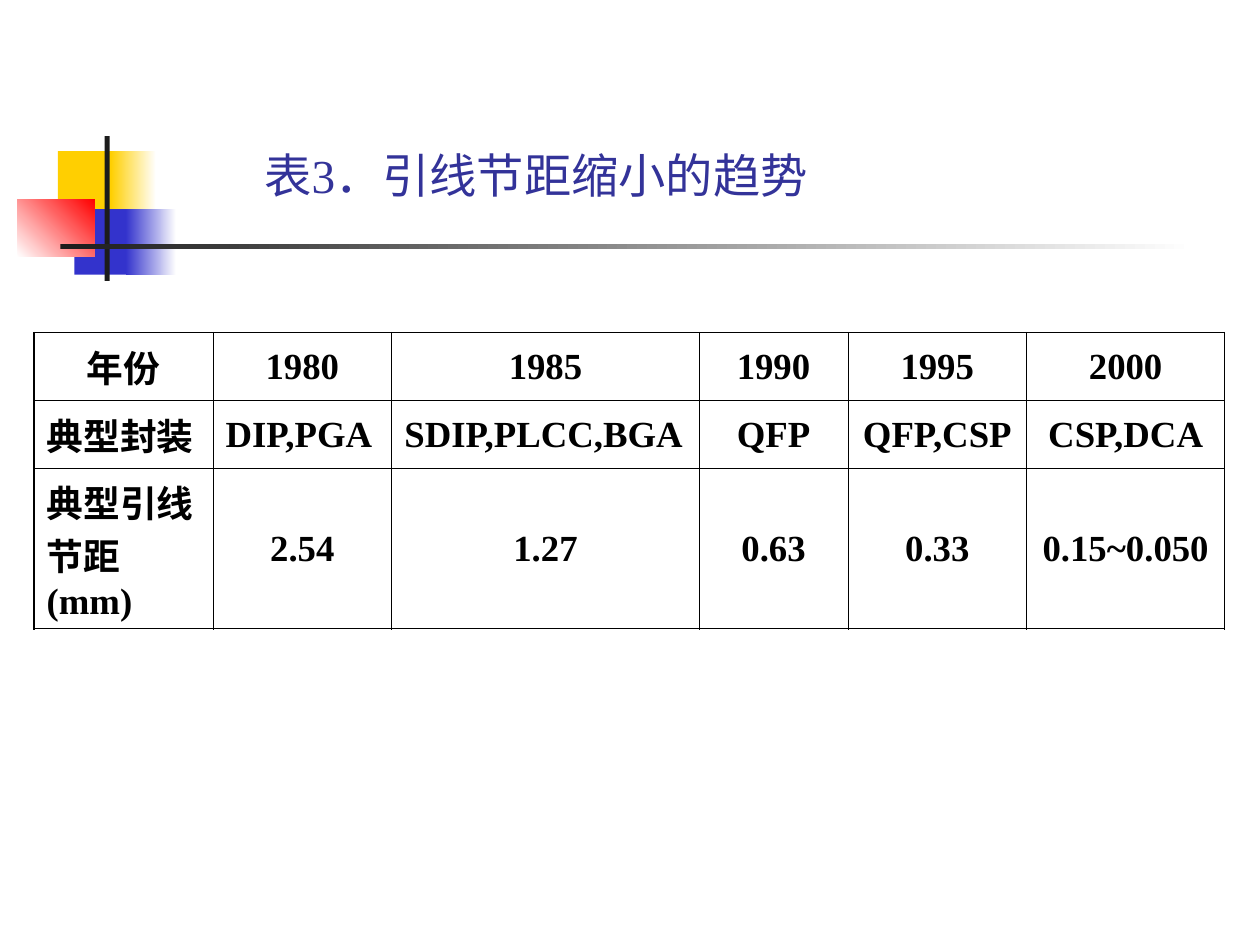
from lxml import etree
from pptx import Presentation
from pptx import util as u
from pptx.dml.color import RGBColor
from pptx.enum import shapes, text
from pptx.oxml import ns

COLORS = {
    "yellow": "FFCF01",
    "blue": "3333CC",
    "red": "FF0000",
    "dark": "1C1C1C",
    "white": "FFFFFF",
    "title": "333399",
    "black": "000000",
}
FONT = "Times New Roman"
OUTER_WIDTH = 1.08
INNER_WIDTH = 0.45

DECORATIONS = [
    ((0.46, 1.2, 0.48, 0.52), ("yellow",), 0),
    ((0.88, 1.2, 0.36, 0.52), ("yellow", "white"), 0),
    ((0.59, 1.66, 0.46, 0.52), ("blue",), 0),
    ((1, 1.66, 0.4, 0.52), ("blue", "white"), 0),
    ((0.14, 1.58, 0.61, 0.46), ("white", "red"), 45),
    ((0.83, 1.08, 0.04, 1.15), ("dark",), 0),
    ((0.48, 1.94, 9, 0.04), ("dark", "white"), 0),
]
COLUMN_WIDTHS = [1.42, 1.42, 2.44, 1.18, 1.42, 1.57]
ROW_HEIGHTS = [0.54, 0.54, 1.27]
ROWS = [
    ["年份", "1980", "1985", "1990", "1995", "2000"],
    ["典型封装", "DIP,PGA", "SDIP,PLCC,BGA", "QFP", "QFP,CSP", "CSP,DCA"],
    ["典型引线节距(mm)", "2.54", "1.27", "0.63", "0.33", "0.15~0.050"],
]
LEFT_ALIGNED = {(1, 0), (1, 1), (1, 2), (2, 0)}


def rgb(name):
    return RGBColor.from_string(COLORS[name])


def inches(values):
    return [u.Inches(value) for value in values]


def format_text(paragraph, size, color, bold=False):
    for run in paragraph.runs:
        run.font.name = FONT
        run.font.size = u.Pt(size)
        run.font.bold = bold
        run.font.color.rgb = rgb(color)


def add_decoration(slide, box, colors, angle):
    shape = slide.shapes.add_shape(shapes.MSO_SHAPE.RECTANGLE, *inches(box))
    shape.shadow.inherit = False
    shape.line.fill.background()
    if len(colors) == 1:
        shape.fill.solid()
        shape.fill.fore_color.rgb = rgb(colors[0])
        return
    shape.fill.gradient()
    shape.fill.gradient_angle = angle
    for stop, color in zip(shape.fill.gradient_stops, colors):
        stop.color.rgb = rgb(color)


def add_title(slide, title):
    shape = slide.shapes.add_textbox(*inches((2, 1.07, 6.14, 0.63)))
    frame = shape.text_frame
    frame.word_wrap = True
    frame.vertical_anchor = text.MSO_ANCHOR.MIDDLE
    frame.text = title
    format_text(frame.paragraphs[0], 27, "title")


def set_borders(cell, widths):
    properties = cell._tc.get_or_add_tcPr()
    for side, width in widths.items():
        line = etree.SubElement(properties, ns.qn(f"a:ln{side}"), w=str(u.Pt(width)))
        fill = etree.SubElement(line, ns.qn("a:solidFill"))
        etree.SubElement(fill, ns.qn("a:srgbClr"), val=COLORS["black"])


def format_cell(cell, row, column):
    outer_sides = {
        "L": column == 0,
        "R": column == len(COLUMN_WIDTHS) - 1,
        "T": row == 0,
        "B": row == len(ROW_HEIGHTS) - 1,
    }
    set_borders(cell, {side: OUTER_WIDTH if outer else INNER_WIDTH
                       for side, outer in outer_sides.items()})
    cell.fill.background()
    cell.vertical_anchor = text.MSO_ANCHOR.MIDDLE
    paragraph = cell.text_frame.paragraphs[0]
    is_left = (row, column) in LEFT_ALIGNED
    paragraph.alignment = text.PP_ALIGN.LEFT if is_left else text.PP_ALIGN.CENTER
    format_text(paragraph, 21, "black", bold=True)


def add_pitch_table(slide):
    frame = slide.shapes.add_table(
        len(ROW_HEIGHTS), len(COLUMN_WIDTHS),
        *inches((0.27, 2.64, sum(COLUMN_WIDTHS), sum(ROW_HEIGHTS))))
    table = frame.table
    table.first_row = False
    table.horz_banding = False
    for column, width in zip(table.columns, COLUMN_WIDTHS):
        column.width = u.Inches(width)
    for row, height in zip(table.rows, ROW_HEIGHTS):
        row.height = u.Inches(height)
    for row, values in enumerate(ROWS):
        for column, value in enumerate(values):
            cell = table.cell(row, column)
            cell.text_frame.text = value
            format_cell(cell, row, column)


def main():
    presentation = Presentation()
    presentation.slide_width = u.Inches(10)
    presentation.slide_height = u.Inches(7.5)
    slide = presentation.slides.add_slide(presentation.slide_layouts[6])
    for box, colors, angle in DECORATIONS:
        add_decoration(slide, box, colors, angle)
    add_title(slide, "表3．引线节距缩小的趋势")
    add_pitch_table(slide)
    presentation.save("out.pptx")


if __name__ == "__main__":
    main()
